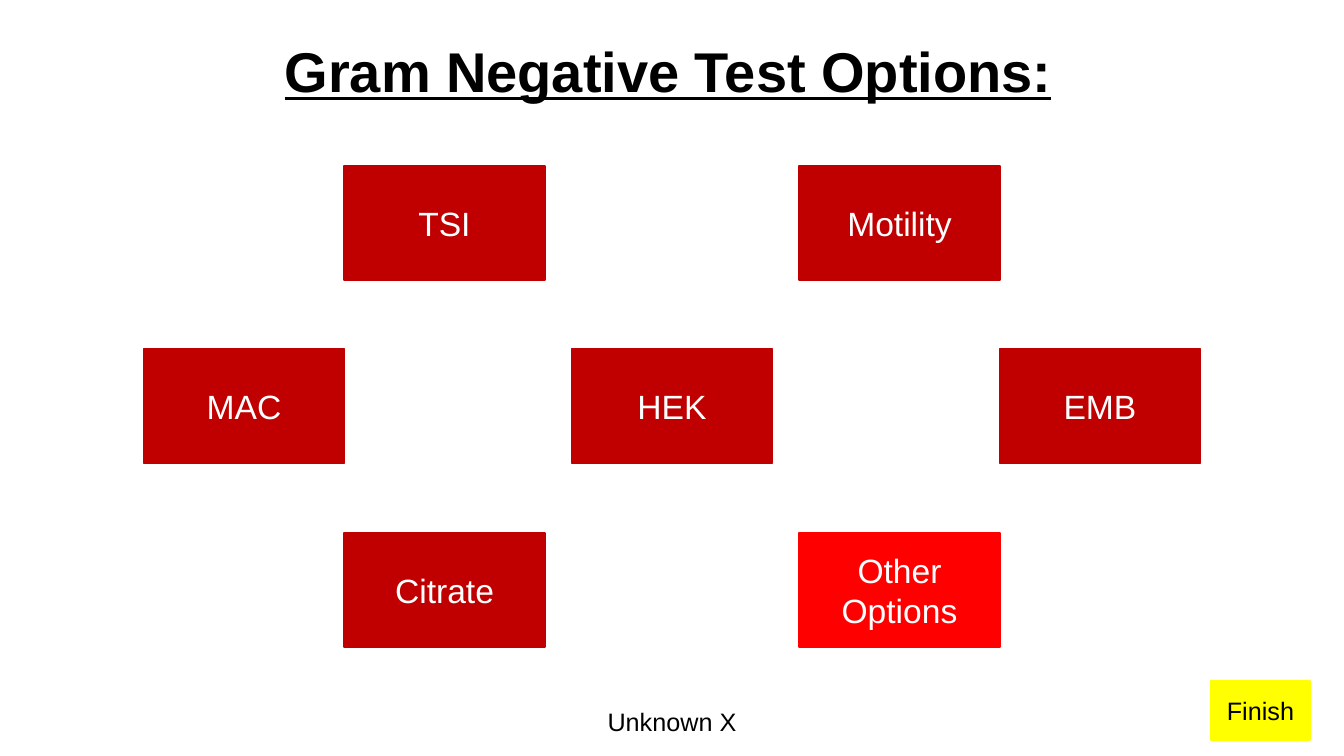
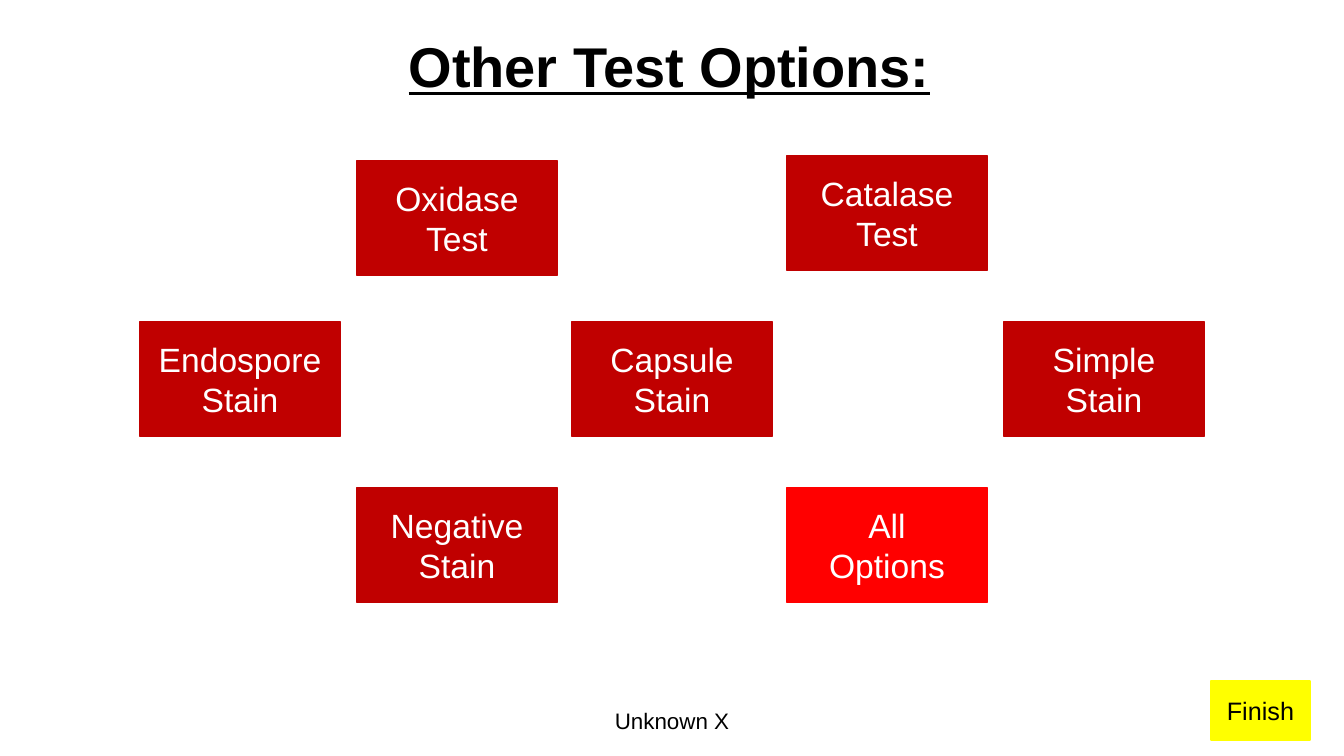
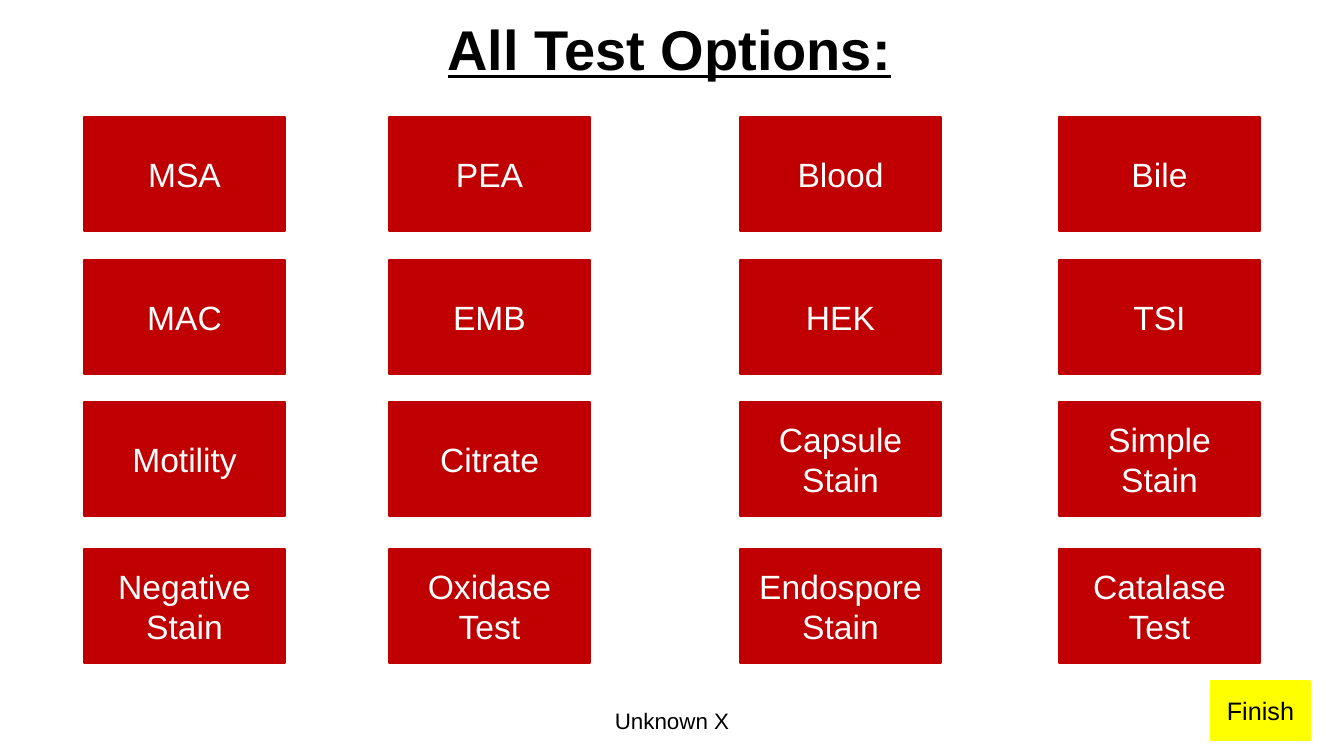
from dataclasses import dataclass

from pptx import Presentation
from pptx.dml.color import RGBColor
from pptx.enum.shapes import MSO_SHAPE
from pptx.enum.text import MSO_ANCHOR, MSO_AUTO_SIZE, PP_ALIGN
from pptx.util import Emu, Pt


@dataclass(frozen=True)
class Theme:
    font: str = "Arial"
    ink: str = "000000"
    paper: str = "FFFFFF"
    test: str = "C00000"
    more: str = "FF0000"
    finish: str = "FFFF00"
    title_size: int = 40
    button_size: int = 24
    finish_size: int = 18
    line_width: int = 1


@dataclass(frozen=True)
class Box:
    left: float
    top: float
    width: float
    height: float

    def emu(self):
        return [Emu(round(length * PIXEL))
                for length in (self.left, self.top, self.width, self.height)]


THEME = Theme()
PIXEL = 914400 / 100.8
PAGE = Box(0, 0, 1344, 756)
BUTTON_WIDTH, BUTTON_HEIGHT = 201, 114
MORE_LABELS = ("Other Options", "All\nOptions")


def write(frame, text, *, size, color=THEME.ink, bold=False, underline=False,
          align=PP_ALIGN.CENTER, anchor=MSO_ANCHOR.MIDDLE, wrap=True):
    """Fill a text frame, one paragraph for each line of text."""
    frame.word_wrap = wrap
    frame.vertical_anchor = anchor
    frame.text = text
    for para in frame.paragraphs:
        para.alignment = align
        for span in para.runs:
            font = span.font
            font.name, font.size = THEME.font, Pt(size)
            font.bold, font.underline = bold, underline
            font.color.rgb = RGBColor.from_string(color)


def add_button(page, box, label, *, fill, size=THEME.button_size, color=THEME.paper):
    button = page.shapes.add_shape(MSO_SHAPE.RECTANGLE, *box.emu())
    button.shadow.inherit = False
    button.fill.solid()
    button.fill.fore_color.rgb = RGBColor.from_string(fill)
    button.line.color.rgb = RGBColor.from_string(fill)
    button.line.width = Pt(THEME.line_width)
    write(button.text_frame, label, size=size, color=color)


def add_title(page, box, text):
    title = page.shapes.title
    title.left, title.top, title.width, title.height = box.emu()
    write(title.text_frame, text, size=THEME.title_size, bold=True, underline=True,
          align=PP_ALIGN.LEFT, anchor=MSO_ANCHOR.TOP, wrap=False)
    title.text_frame.auto_size = MSO_AUTO_SIZE.SHAPE_TO_FIT_TEXT


def add_footer(page, box, size):
    """Centred sample name, with the finish button in the lower right corner."""
    name_box = Box(box.left + (box.width - 454) / 2, box.top + 20, 454, 40)
    name = page.shapes.add_textbox(*name_box.emu())
    write(name.text_frame, "Unknown X", size=size)
    finish_box = Box(box.left + box.width - 133, box.top, 99, 59)
    add_button(page, finish_box, "Finish", fill=THEME.finish,
               size=THEME.finish_size, color=THEME.ink)


def add_button_row(page, box, lefts, labels):
    for left, label in zip(lefts, labels):
        fill = THEME.more if label in MORE_LABELS else THEME.test
        add_button(page, Box(box.left + left, box.top, BUTTON_WIDTH, box.height),
                   label, fill=fill)


def centred_lefts(count, pitch):
    first = (PAGE.width - BUTTON_WIDTH - (count - 1) * pitch) / 2
    return [first + index * pitch for index in range(count)]


def add_options_page(deck, title, title_top, title_width, name_size, rows):
    page = deck.slides.add_slide(deck.slide_layouts[5])
    title_left = (PAGE.width - title_width) / 2
    add_title(page, Box(title_left, title_top, title_width, 78), title)
    for top, lefts, labels in rows:
        add_button_row(page, Box(0, top, PAGE.width, BUTTON_HEIGHT), lefts, labels)
    add_footer(page, Box(0, 681, PAGE.width, 75), name_size)


deck = Presentation()
deck.slide_width, deck.slide_height = PAGE.emu()[2:]

# Gram negative tests
outer = centred_lefts(2, 455)
add_options_page(deck, "Gram Negative Test Options:", 31, 795, 18, [
    (166, outer, ["TSI", "Motility"]),
    (349, centred_lefts(3, 428), ["MAC", "HEK", "EMB"]),
    (533, outer, ["Citrate", "Other Options"]),
])

# Other tests, with the catalase button slightly raised
outer = centred_lefts(2, 430)
add_options_page(deck, "Other Test Options:", 26, 547, 16, [
    (161, outer[:1], ["Oxidase Test"]),
    (156, outer[1:], ["Catalase Test"]),
    (322, centred_lefts(3, 432), ["Endospore Stain", "Capsule Stain", "Simple Stain"]),
    (488, outer, ["Negative Stain", "All\nOptions"]),
])

# All tests
columns = [84, 389, 740, 1059]
add_options_page(deck, "All Test Options:", 9, 469, 16, [
    (117, columns, ["MSA", "PEA", "Blood", "Bile"]),
    (260, columns, ["MAC", "EMB", "HEK", "TSI"]),
    (402, columns, ["Motility", "Citrate", "Capsule Stain", "Simple Stain"]),
    (549, columns, ["Negative Stain", "Oxidase Test", "Endospore Stain", "Catalase Test"]),
])

deck.save("out.pptx")
